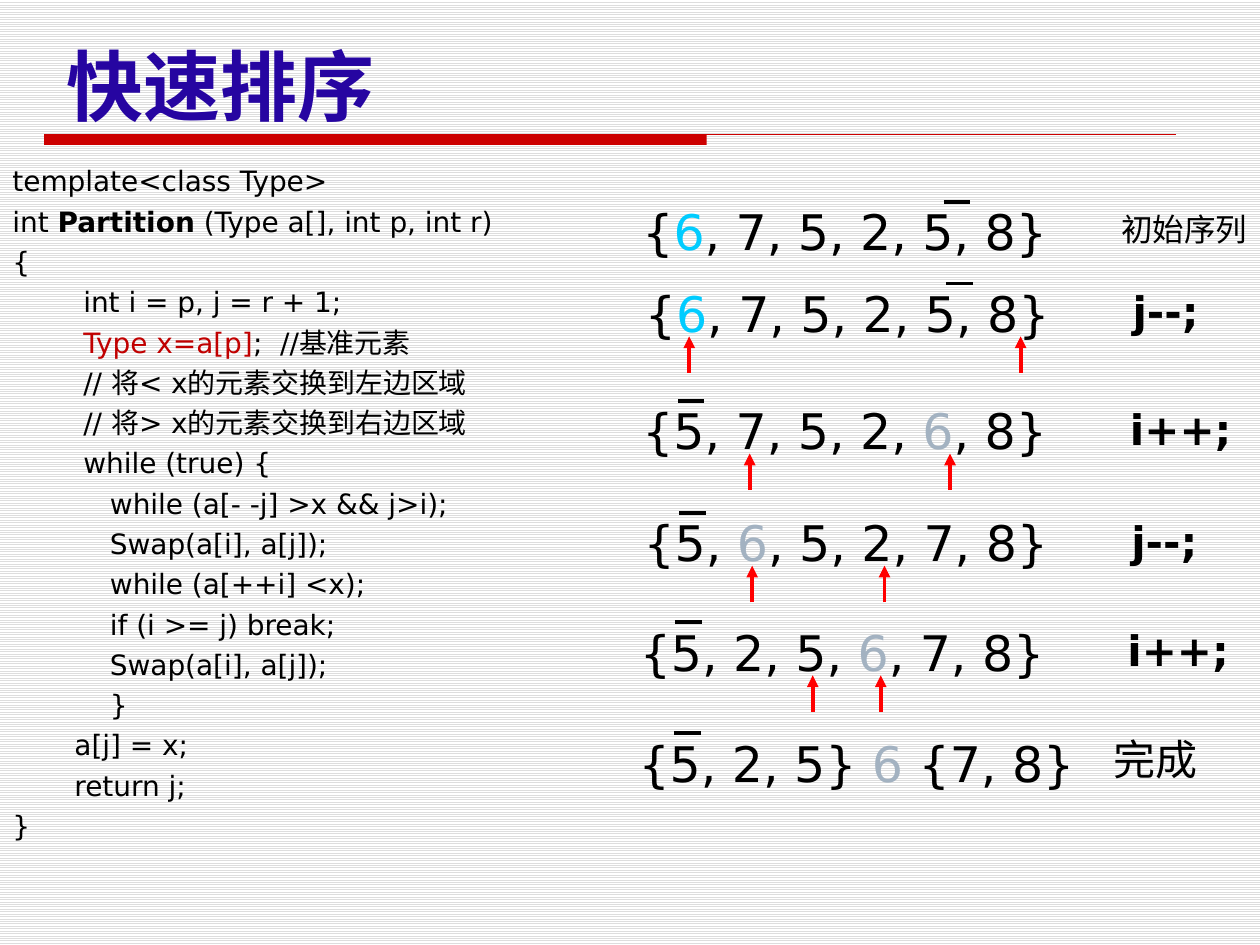
from lxml.etree import SubElement
from pptx import Presentation
from pptx.dml.color import RGBColor
from pptx.enum.dml import MSO_PATTERN
from pptx.enum.shapes import MSO_CONNECTOR, MSO_SHAPE
from pptx.enum.text import MSO_ANCHOR, MSO_AUTO_SIZE, PP_ALIGN
from pptx.oxml.ns import qn
from pptx.util import Inches, Pt

STRAIGHT = MSO_CONNECTOR.STRAIGHT
RECTANGLE = MSO_SHAPE.RECTANGLE
MIDDLE, TOP = MSO_ANCHOR.MIDDLE, MSO_ANCHOR.TOP
FIT, NO_FIT = MSO_AUTO_SIZE.SHAPE_TO_FIT_TEXT, MSO_AUTO_SIZE.NONE
LEFT = PP_ALIGN.LEFT
LIGHT_HORIZONTAL = MSO_PATTERN.LIGHT_HORIZONTAL

LATIN, CJK = "DejaVu Sans", "Noto Sans CJK SC"
BLACK, RED, RULE = "000000", "FF0000", "CC0000"
CYAN, GREY, DARK_RED, INDIGO = "00CCFF", "A3B2C1", "C00000", "2605A1"

TITLE = "快速排序"
CODE = [
    "template<class Type>",
    "int Partition (Type a[], int p, int r)",
    "{",
    "        int i = p, j = r + 1;",
    "        Type x=a[p];  //基准元素",
    "        // 将< x的元素交换到左边区域",
    "        // 将> x的元素交换到右边区域",
    "        while (true) {",
    "           while (a[- -j] >x && j>i);",
    "           Swap(a[i], a[j]);",
    "           while (a[++i] <x);",
    "           if (i >= j) break;",
    "           Swap(a[i], a[j]);",
    "           }",
    "       a[j] = x;",
    "       return j;",
    "}",
]
CODE_MARKS = {"Partition": (BLACK, True), "Type x=a[p]": (DARK_RED, False)}

# sequence, left, top, width, pivot colour, overline offset, arrow positions
STEPS = [
    ("{6, 7, 5, 2, 5, 8}", 5.0, 1.55, 3.56, CYAN, 2.49, []),
    ("{6, 7, 5, 2, 5, 8}", 5.02, 2.2, 3.56, CYAN, 2.49, [5.47, 8.1]),
    ("{5, 7, 5, 2, 6, 8}", 5.0, 3.13, 3.56, GREY, 0.38, [5.95, 7.54]),
    ("{5, 6, 5, 2, 7, 8}", 5.01, 4.02, 3.56, GREY, 0.38, [5.97, 7.02]),
    ("{5, 2, 5, 6, 7, 8}", 4.98, 4.89, 3.56, GREY, 0.38, [6.45, 6.99]),
    ("{5, 2, 5} 6 {7, 8}", 4.97, 5.77, 3.77, GREY, 0.38, []),
]
LABELS = [
    ("初始序列", 8.8, 1.62, 1.2, 0.4, 18, False),
    ("j--;", 8.89, 2.22, 0.79, 0.5, 24, True),
    ("i++;", 8.87, 3.15, 1.03, 0.5, 24, True),
    ("j--;", 8.88, 4.04, 0.79, 0.5, 24, True),
    ("i++;", 8.85, 4.91, 1.03, 0.5, 24, True),
    ("完成", 8.74, 5.77, 0.87, 0.5, 24, False),
]


def rgb(value):
    return RGBColor.from_string(value)


def style(p, size, color=BLACK, bold=False, name=LATIN):
    p.font.size, p.font.bold, p.font.name = Pt(size), bold, name
    p.font.color.rgb = rgb(color)
    props = p._p.get_or_add_pPr().find(qn("a:defRPr"))
    SubElement(props, qn("a:ea")).set("typeface", CJK)


def add_runs(p, text, marks):
    for mark, (color, bold) in marks.items():
        if mark in text:
            before, _, after = text.partition(mark)
            p.add_run().text = before
            r = p.add_run()
            r.text, r.font.bold = mark, bold
            r.font.color.rgb = rgb(color)
            p.add_run().text = after
            return
    p.add_run().text = text


def add_text(s, lines, box, size, marks={}, bold=False, wrap=False,
             anchor=TOP, spacing=None):
    tf = s.shapes.add_textbox(*map(Inches, box)).text_frame
    tf.word_wrap, tf.auto_size, tf.vertical_anchor = wrap, FIT, anchor
    for i, line in enumerate(lines):
        p = tf.add_paragraph() if i else tf.paragraphs[0]
        add_runs(p, line, marks)
        p.line_spacing = spacing
        style(p, size, bold=bold)


def add_line(s, x1, y1, x2, y2, color, width=2.25, arrow=False):
    line = s.shapes.add_connector(STRAIGHT, *map(Inches, (x1, y1, x2, y2)))
    line.line.color.rgb, line.line.width = rgb(color), Pt(width)
    if arrow:
        SubElement(line.line._get_or_add_ln(), qn("a:tailEnd")).set("type", "triangle")
    SubElement(line._element.spPr, qn("a:effectLst"))


def add_title(s):
    bar = s.shapes.add_shape(RECTANGLE, *map(Inches, (0.35, 1.07, 5.26, 0.08)))
    bar.shadow.inherit = False
    bar.fill.solid()
    bar.fill.fore_color.rgb = rgb(RULE)
    bar.line.fill.background()
    add_line(s, 0.35, 1.07, 9.33, 1.07, RULE, 0.75)
    sp = s.shapes.title
    sp.left, sp.top, sp.width, sp.height = map(Inches, (0.43, 0.05, 8.5, 1.25))
    tf = sp.text_frame
    tf.text, tf.vertical_anchor, tf.auto_size = TITLE, MIDDLE, NO_FIT
    p = tf.paragraphs[0]
    p.alignment = LEFT
    style(p, 44, INDIGO, True, CJK)


def main():
    prs = Presentation()
    prs.slide_width, prs.slide_height = Inches(10), Inches(7.5)
    s = prs.slides.add_slide(prs.slide_layouts[5])
    fill = s.background.fill
    fill.patterned()
    fill.pattern = LIGHT_HORIZONTAL
    fill.fore_color.rgb, fill.back_color.rgb = rgb("DDDDDD"), rgb("FFFFFF")
    add_title(s)
    add_text(s, CODE, (0, 1.17, 4.69, 5.59), 16, CODE_MARKS,
             wrap=True, anchor=MIDDLE, spacing=1.2)
    for text, x, y, width, color, offset, arrows in STEPS:
        add_text(s, [text], (x, y, width, 0.57), 28, {"6": (color, False)})
        add_line(s, x + offset, y + 0.05, x + offset + 0.21, y + 0.05, BLACK)
        for arrow_x in arrows:
            add_line(s, arrow_x, y + 0.76, arrow_x, y + 0.47, RED, arrow=True)
    for text, x, y, width, height, size, bold in LABELS:
        add_text(s, [text], (x, y, width, height), size, bold=bold)
    prs.save("out.pptx")


if __name__ == "__main__":
    main()
